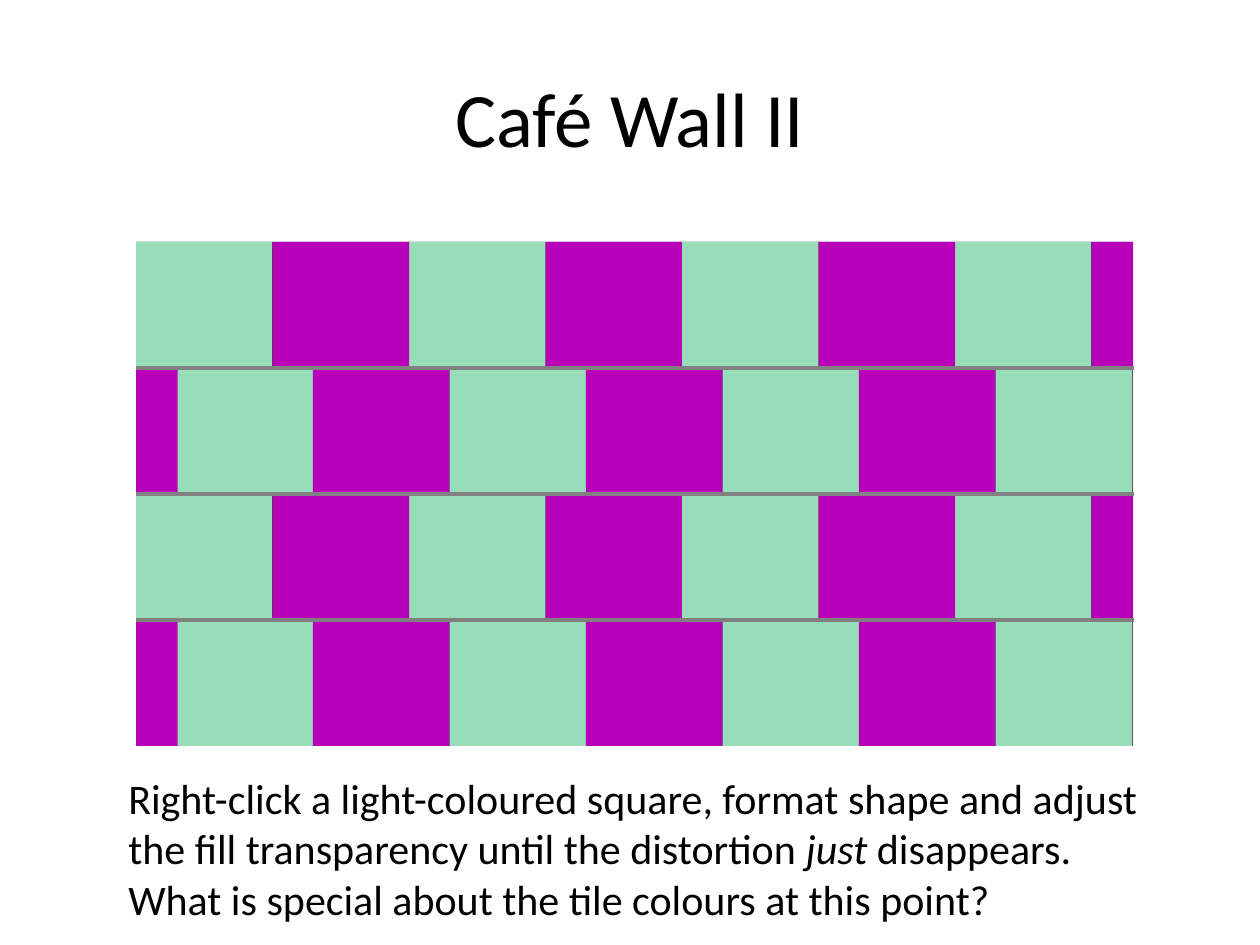
"""Builds the Café Wall II slide: shifted rows of two-colour tiles with mortar lines."""
from typing import NamedTuple

from lxml import etree
from pptx import Presentation
from pptx.dml.color import RGBColor
from pptx.enum.shapes import MSO_CONNECTOR, MSO_SHAPE
from pptx.enum.text import MSO_ANCHOR, PP_ALIGN
from pptx.oxml.ns import qn
from pptx.util import Inches, Pt

RECT = MSO_SHAPE.RECTANGLE
LINE = MSO_CONNECTOR.STRAIGHT
MIDDLE, TOP = MSO_ANCHOR.MIDDLE, MSO_ANCHOR.TOP
CENTER, LEFT = PP_ALIGN.CENTER, PP_ALIGN.LEFT

BLACK, MINT, PURPLE, GRAY = "000000", "97DDBA", "B800B8", "808080"
WALL_X, WALL_Y, RIGHT = 1.08, 1.92, 9.0
ROWS, PAIRS = 4, 4
TILE = 13 / 12
SHIFT, STUB = 0.32, 0.33


class Box(NamedTuple):
    x: float
    y: float
    w: float
    h: float


class Words(NamedTuple):
    text: str
    italic: bool = False


def color(code: str) -> RGBColor:
    return RGBColor.from_string(code)


def add_rect(shapes, box: Box, fill: str) -> None:
    rect = shapes.add_shape(RECT, *map(Inches, box))
    rect.shadow.inherit = False
    rect.fill.solid()
    rect.fill.fore_color.rgb = color(fill)
    rect.line.fill.background()


def add_line(shapes, y: float) -> None:
    line = shapes.add_connector(LINE, Inches(WALL_X), Inches(y), Inches(RIGHT), Inches(y))
    line.line.color.rgb = color(GRAY)
    line.line.width = Pt(2.25)
    etree.SubElement(line._element.spPr, qn("a:effectLst"))


def add_text(shapes, box: Box, parts: list[Words], size: int, align, anchor) -> None:
    frame = shapes.add_textbox(*map(Inches, box)).text_frame
    frame.word_wrap = True
    frame.vertical_anchor = anchor
    para = frame.paragraphs[0]
    para.alignment = align
    for part in parts:
        run = para.add_run()
        run.text = part.text
        run.font.name = "Calibri"
        run.font.size = Pt(size)
        run.font.italic = part.italic
        run.font.color.rgb = color(BLACK)


def light_tiles(row: int) -> list[Box]:
    start = WALL_X + SHIFT * (row % 2)
    return [Box(start + 2 * i * TILE, WALL_Y + row, TILE, 1) for i in range(PAIRS)]


def dark_tiles(row: int) -> list[Box]:
    light = light_tiles(row)
    tiles = [tile._replace(x=tile.x + TILE) for tile in light[:-1]]
    edge = WALL_X if row % 2 else light[-1].x + TILE
    return tiles + [Box(edge, WALL_Y + row, STUB, 1)]


def main() -> None:
    deck = Presentation()
    deck.slide_width, deck.slide_height = Inches(10), Inches(7.5)
    shapes = deck.slides.add_slide(deck.slide_layouts[6]).shapes

    add_rect(shapes, Box(WALL_X, WALL_Y, 7.91, ROWS), BLACK)
    add_text(shapes, Box(0.5, 0.3, 9, 1.25), [Words("Café Wall II")], 44, CENTER, MIDDLE)

    for tiles, fill in ((light_tiles, MINT), (dark_tiles, PURPLE)):
        group = shapes.add_group_shape()
        for row in range(ROWS):
            for box in tiles(row):
                add_rect(group.shapes, box, fill)

    mortar = shapes.add_group_shape()
    for row in range(1, ROWS):
        add_line(mortar.shapes, WALL_Y + row)

    task = [
        Words("Right-click a light-coloured square, format shape and adjust "
              "the fill transparency until the distortion "),
        Words("just ", True),
        Words("disappears. What is special about the tile colours at this point?"),
    ]
    add_text(shapes, Box(0.92, 6.08, 8.42, 1.31), task, 24, LEFT, TOP)

    deck.save("out.pptx")


main()
